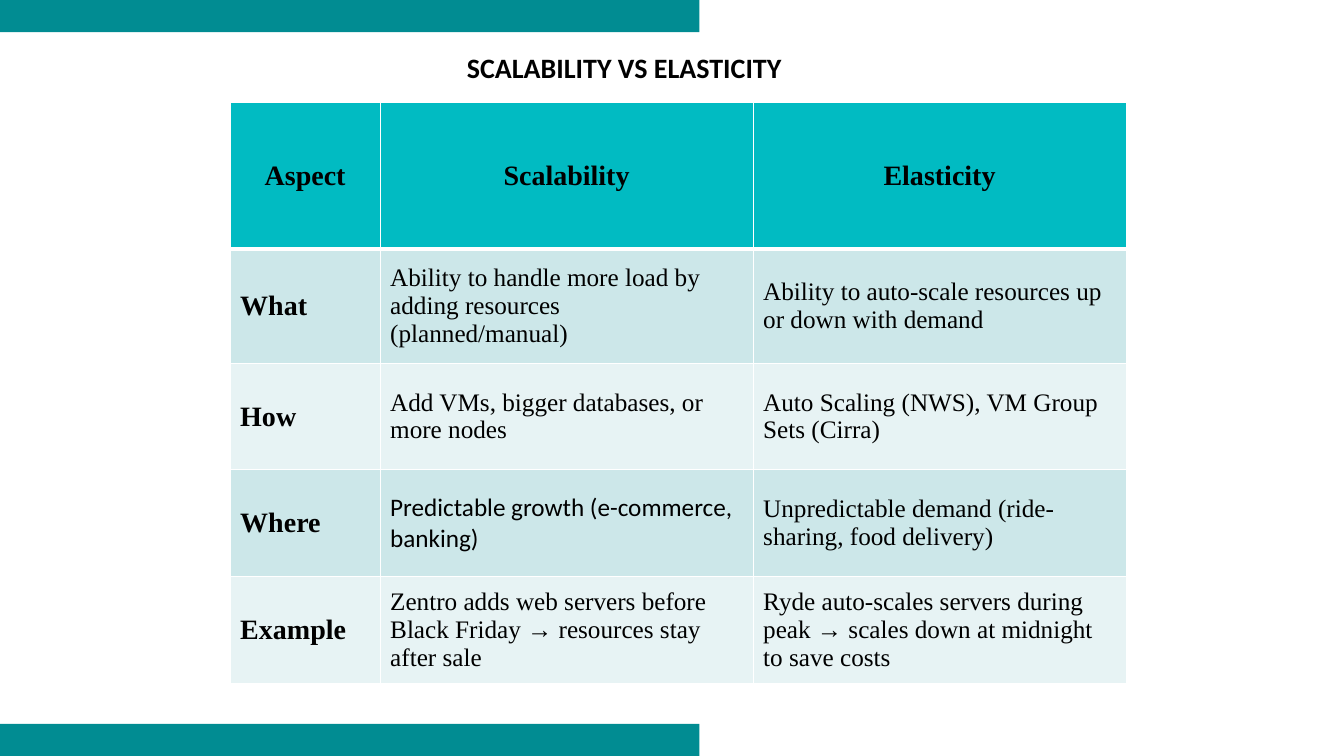
from dataclasses import dataclass

from lxml import etree
from pptx import Presentation
from pptx.dml.color import RGBColor
from pptx.enum.shapes import MSO_SHAPE
from pptx.enum.text import MSO_ANCHOR, MSO_AUTO_SIZE, PP_ALIGN
from pptx.oxml.ns import qn
from pptx.util import Cm, Pt

RECTANGLE = MSO_SHAPE.RECTANGLE
TOP, MIDDLE = MSO_ANCHOR.TOP, MSO_ANCHOR.MIDDLE
LEFT, CENTER = PP_ALIGN.LEFT, PP_ALIGN.CENTER
FIT_SHAPE = MSO_AUTO_SIZE.SHAPE_TO_FIT_TEXT

BLACK = RGBColor(0x00, 0x00, 0x00)
WHITE = RGBColor(0xFF, 0xFF, 0xFF)
BAR_TEAL = RGBColor(0x01, 0x8C, 0x92)
HEADER_TEAL = RGBColor(0x01, 0xBB, 0xC2)
BANDS = (RGBColor(0xCC, 0xE7, 0xE9), RGBColor(0xE7, 0xF3, 0xF4))

SANS, SERIF = "Calibri", "Times New Roman"
PAGE_WIDTH, PAGE_HEIGHT = Cm(33.87), Cm(19.05)
BAR_WIDTH, BAR_HEIGHT = Cm(17.63), Cm(0.81)
COLUMN_WIDTHS = (Cm(3.78), Cm(9.4), Cm(9.4))
ROW_HEIGHTS = (Cm(3.71), Cm(2.87), Cm(2.69), Cm(2.69), Cm(2.69))


@dataclass
class Comparison:
    aspect: str
    scalability: str
    elasticity: str
    scalability_font: str = SERIF


HEADER = Comparison("Aspect", "Scalability", "Elasticity")
COMPARISONS = [
    Comparison("What",
               "Ability to handle more load by adding resources (planned/manual)",
               "Ability to auto-scale resources up or down with demand"),
    Comparison("How",
               "Add VMs, bigger databases, or more nodes",
               "Auto Scaling (NWS), VM Group Sets (Cirra)"),
    Comparison("Where",
               "Predictable growth (e-commerce, banking)",
               "Unpredictable demand (ride-sharing, food delivery)",
               SANS),
    Comparison("Example",
               "Zentro adds web servers before Black Friday → resources stay after sale",
               "Ryde auto-scales servers during peak → scales down at midnight to save costs"),
]


def add_bar(page, top: int) -> None:
    bar = page.shapes.add_shape(RECTANGLE, 0, top, BAR_WIDTH, BAR_HEIGHT)
    bar.shadow.inherit = False
    bar.fill.solid()
    bar.fill.fore_color.rgb = BAR_TEAL
    bar.line.fill.background()


def style_paragraph(para, size: int, name: str, bold: bool, align) -> None:
    para.alignment = align
    font = para.font
    font.size, font.name, font.bold = Pt(size), name, bold
    font.color.rgb = BLACK


def set_borders(cell, top: int, bottom: int) -> None:
    """Draw white cell borders; the widths are in points."""
    properties = cell._tc.get_or_add_tcPr()
    widths = {"a:lnL": 1, "a:lnR": 1, "a:lnT": top, "a:lnB": bottom}
    for position, (tag, width) in enumerate(widths.items()):
        line = etree.Element(qn(tag), w=str(Pt(width)))
        fill = etree.SubElement(line, qn("a:solidFill"))
        etree.SubElement(fill, qn("a:srgbClr"), val=str(WHITE))
        properties.insert(position, line)


def fill_row(table, index: int, row: Comparison) -> None:
    is_header = index == 0
    color = HEADER_TEAL if is_header else BANDS[(index - 1) % 2]
    texts = (row.aspect, row.scalability, row.elasticity)
    fonts = (SERIF, row.scalability_font, SERIF)
    for column, (text, name) in enumerate(zip(texts, fonts)):
        cell = table.cell(index, column)
        cell.text = text
        cell.vertical_anchor = MIDDLE
        cell.fill.solid()
        cell.fill.fore_color.rgb = color
        bold = is_header or column == 0
        style_paragraph(cell.text_frame.paragraphs[0], 20 if bold else 18,
                        name, bold, CENTER if is_header else LEFT)
        set_borders(cell, 3 if index == 1 else 1, 3 if is_header else 1)


def add_comparison_table(page) -> None:
    rows = [HEADER, *COMPARISONS]
    table = page.shapes.add_table(
        len(rows), len(COLUMN_WIDTHS), Cm(5.8), Cm(2.57),
        sum(COLUMN_WIDTHS), sum(ROW_HEIGHTS)).table
    for column, width in zip(table.columns, COLUMN_WIDTHS):
        column.width = width
    for index, (row, height) in enumerate(zip(rows, ROW_HEIGHTS)):
        table.rows[index].height = height
        fill_row(table, index, row)


def set_title(page) -> None:
    title = page.shapes.title
    title.left, title.top = Cm(11.51), Cm(1.14)
    title.width, title.height = Cm(8.53), Cm(1.12)
    frame = title.text_frame
    frame.text = "SCALABILITY VS ELASTICITY"
    frame.word_wrap = False
    frame.auto_size = FIT_SHAPE
    frame.vertical_anchor = TOP
    style_paragraph(frame.paragraphs[0], 20, SANS, True, LEFT)


def main() -> None:
    deck = Presentation()
    deck.slide_width, deck.slide_height = PAGE_WIDTH, PAGE_HEIGHT
    page = deck.slides.add_slide(deck.slide_layouts.get_by_name("Title Only"))

    # Bars along the bottom and top edges
    for top in (PAGE_HEIGHT - BAR_HEIGHT, 0):
        add_bar(page, top)

    # Title and comparison
    set_title(page)
    add_comparison_table(page)

    deck.save("out.pptx")


if __name__ == "__main__":
    main()
